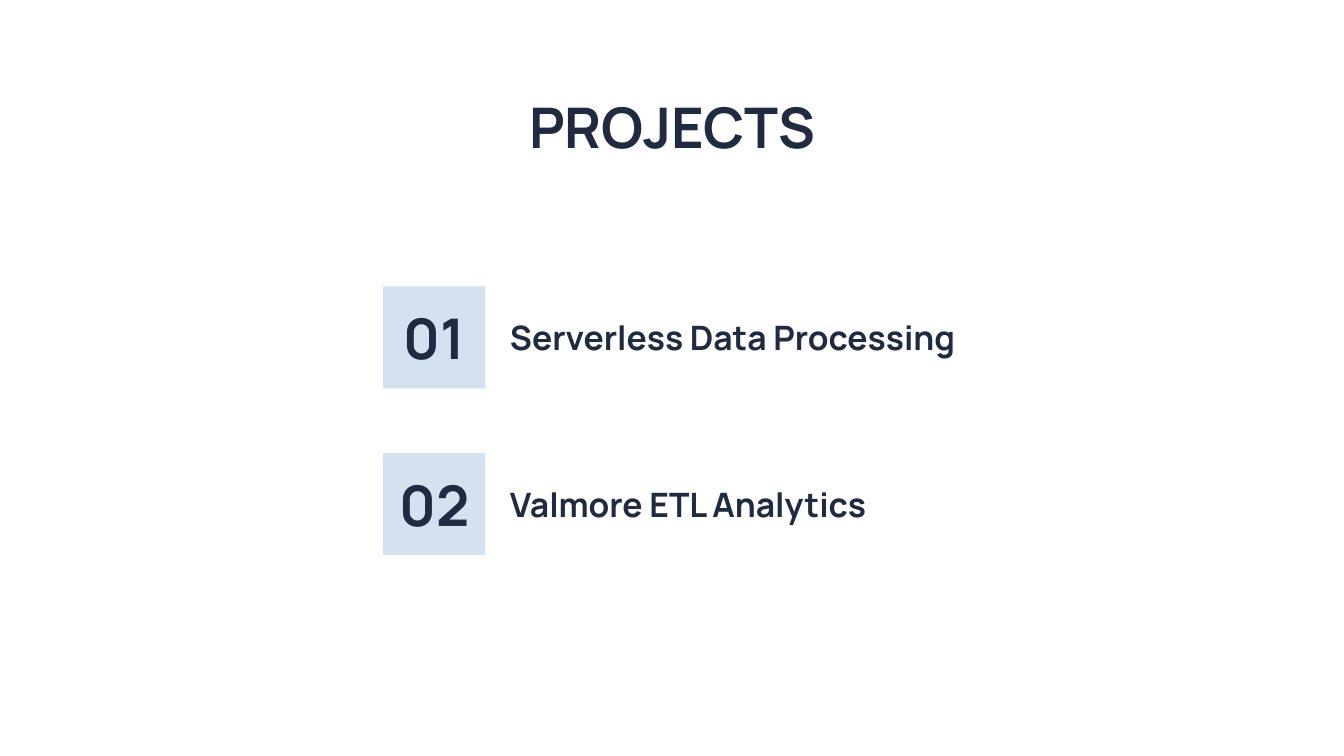
from dataclasses import dataclass

from lxml import etree
from pptx import Presentation
from pptx import util as u
from pptx.dml.color import RGBColor
from pptx.enum import shapes, text
from pptx.oxml import ns

Pt = u.Pt


@dataclass(frozen=True)
class Theme:
    """Colours, font and type sizes of the deck."""
    ink: RGBColor = RGBColor(0x20, 0x2A, 0x41)
    tile: RGBColor = RGBColor(0xD3, 0xE1, 0xF1)
    paper: RGBColor = RGBColor(0xFF, 0xFF, 0xFF)
    font: str = "Manrope"
    heading: float = 30
    label: float = 18


THEME = Theme()
PROJECTS = ["Serverless Data Processing", "Valmore ETL Analytics"]


def place(item, box):
    """Move an item to a box of left, top, width and height in points."""
    item.left, item.top, item.width, item.height = (Pt(side) for side in box)


def write(item, words, size, align, anchor):
    """Fill an item with one bold, unbulleted line of text."""
    frame = item.text_frame
    frame.word_wrap = True
    frame.auto_size = text.MSO_AUTO_SIZE.NONE
    frame.vertical_anchor = anchor
    frame.margin_left = frame.margin_right = Pt(7.2)
    frame.margin_top = frame.margin_bottom = Pt(7.2)
    para = frame.paragraphs[0]
    para.alignment = align
    para.space_before = Pt(0)
    props = para._p.get_or_add_pPr()
    props.set("marL", "0")
    props.set("indent", "0")
    etree.SubElement(props, ns.qn("a:buNone"))
    span = para.add_run()
    span.text = words
    span.font.name = THEME.font
    span.font.size = Pt(size)
    span.font.bold = True
    span.font.color.rgb = THEME.ink


def add_heading(page, box, words):
    """Set the page title, centred in its box."""
    place(page.shapes.title, box)
    write(page.shapes.title, words, THEME.heading,
          text.PP_ALIGN.CENTER, text.MSO_ANCHOR.TOP)


def add_project(page, holder, box, number, name):
    """Draw a numbered square with the project name beside it."""
    left, top, width, side = box
    gap = 6
    tile = page.shapes.add_shape(
        shapes.MSO_SHAPE.RECTANGLE, Pt(left), Pt(top), Pt(side), Pt(side))
    tile.shadow.inherit = False
    tile.fill.solid()
    tile.fill.fore_color.rgb = THEME.tile
    tile.line.fill.background()
    write(tile, f"{number:02}", THEME.heading,
          text.PP_ALIGN.CENTER, text.MSO_ANCHOR.MIDDLE)
    place(holder, (left + side + gap, top, width - side - gap, side))
    write(holder, name, THEME.label,
          text.PP_ALIGN.LEFT, text.MSO_ANCHOR.MIDDLE)


def add_projects(page, box, names):
    """Spread the projects evenly down the box."""
    left, top, width, height = box
    side = 54.7
    step = (height - side) / (len(names) - 1)
    holders = [item for item in page.placeholders
               if item.placeholder_format.idx in (1, 2)]
    for index, (holder, name) in enumerate(zip(holders, names)):
        add_project(page, holder, (left, top + index * step, width, side),
                    index + 1, name)


def main():
    """Build and save the deck."""
    deck = Presentation()
    deck.slide_width, deck.slide_height = Pt(720), Pt(405)
    page = deck.slides.add_slide(deck.slide_layouts.get_by_name("Two Content"))
    page.background.fill.solid()
    page.background.fill.fore_color.rgb = THEME.paper
    add_heading(page, (56.7, 42.5, 607, 45), "PROJECTS")
    add_projects(page, (205.3, 153.4, 357.5, 144), PROJECTS)
    deck.save("out.pptx")


if __name__ == "__main__":
    main()
